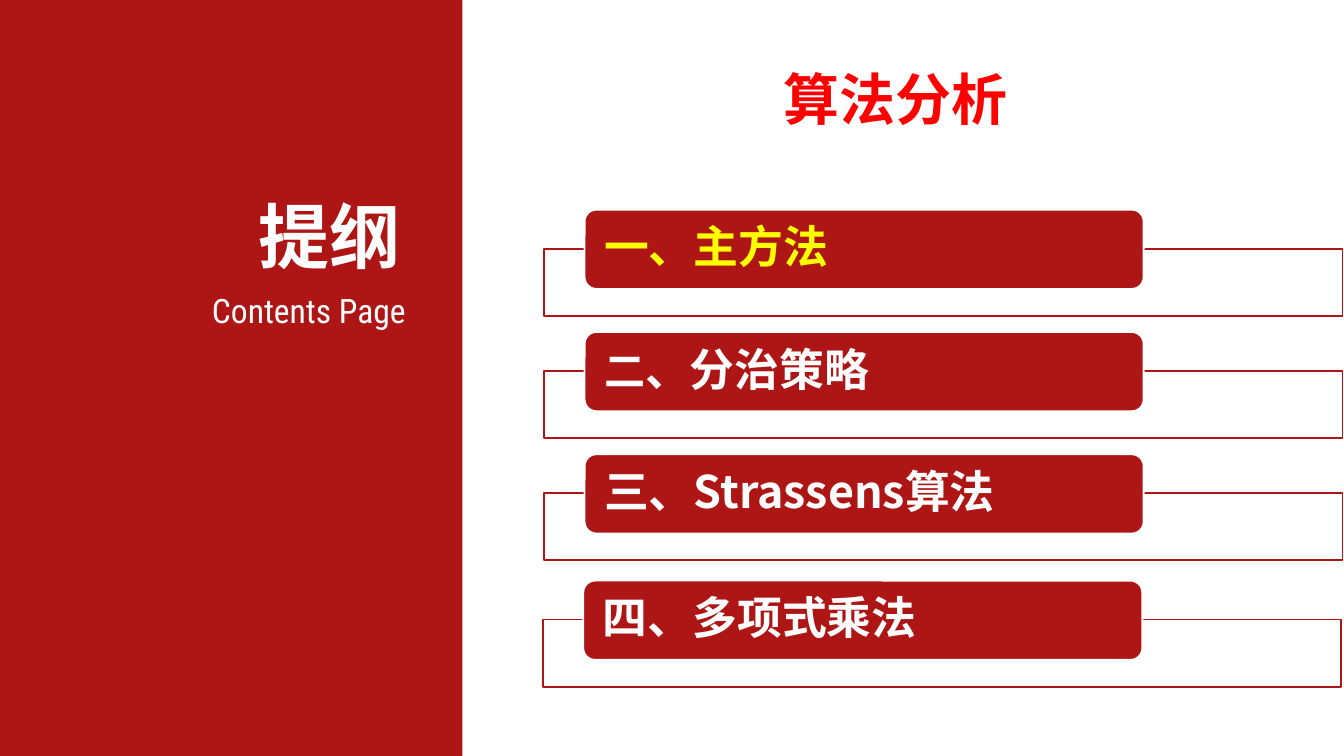
import pptx
import pptx.util
import pptx.dml.color
import pptx.enum.shapes
import pptx.enum.text
import pptx.oxml.ns
import lxml.etree

Inches, Pt = pptx.util.Inches, pptx.util.Pt
KIND = pptx.enum.shapes.MSO_SHAPE
ALIGN = pptx.enum.text.PP_ALIGN
MIDDLE = pptx.enum.text.MSO_ANCHOR.MIDDLE
RED, WHITE, YELLOW = "AE1616", "FFFFFF", "FFFF00"
CJK = "Noto Sans CJK SC"
WIDE, HIGH = 10, 10 * 9 / 16


def paint(color, code):
    color.rgb = pptx.dml.color.RGBColor.from_string(code)


def block(kind, x, y, w, h, fill, line=None):
    shape = slide.shapes.add_shape(kind, Inches(x), Inches(y), Inches(w), Inches(h))
    shape.shadow.inherit = False
    shape.fill.solid()
    paint(shape.fill.fore_color, fill)
    if line:
        paint(shape.line.color, line)
        shape.line.width = Pt(1)
    else:
        shape.line.fill.background()
    return shape


deck = pptx.Presentation()
deck.slide_width, deck.slide_height = Inches(WIDE), Inches(HIGH)
slide = deck.slides.add_slide(deck.slide_layouts[5])

# Left panel with its two labels
block(KIND.RECTANGLE, 0, 0, 3.44, HIGH, RED)
labels = [
    ("Contents Page", 0.34, 2.12, 2.75, 0.38, 18, "Roboto Condensed", False),
    ("提纲", 1.1, 1.39, 1.95, 0.72, 38, "Arial", True),
]
for text, x, y, w, h, size, font, bold in labels:
    box = slide.shapes.add_textbox(Inches(x), Inches(y), Inches(w), Inches(h))
    frame = box.text_frame
    frame.word_wrap = True
    frame.margin_left = frame.margin_right = Inches(0.07)
    frame.margin_top = frame.margin_bottom = Inches(0.04)
    para = frame.paragraphs[0]
    para.text = text
    para.alignment = ALIGN.RIGHT
    para.font.size, para.font.name, para.font.bold = Pt(size), font, bold
    paint(para.font.color, WHITE)

# Title
title = slide.shapes.title
title.left, title.top = Inches(3.44), Inches(0)
title.width, title.height = Inches(6.45), Inches(1.21)
frame = title.text_frame
frame.auto_size = pptx.enum.text.MSO_AUTO_SIZE.NONE
frame.vertical_anchor = MIDDLE
para = frame.paragraphs[0]
para.text = "算法分析"
para.alignment = ALIGN.CENTER
para.line_spacing = 1.5
para.font.size, para.font.name, para.font.bold = Pt(30), "Arial", True
paint(para.font.color, "FF0000")

# Contents: an outlined strip behind a rounded tab; runs are (text, size, font)
items = [
    (4.05, 1.56, YELLOW, [("一、主方法", 24, "Karla")]),
    (4.05, 2.47, WHITE, [("二", 22, CJK), ("、分治策略", 24, CJK)]),
    (4.05, 3.38, WHITE, [("三、Strassens算法", 24, CJK)]),
    (4.04, 4.32, WHITE, [("四、", 24, CJK), ("多项式乘法", 24, "Karla")]),
]
for x, y, color, runs in items:
    strip = block(KIND.RECTANGLE, x, y + 0.29, 5.94, 0.5, WHITE, RED)
    tint = strip.fill._xPr.find(".//" + pptx.oxml.ns.qn("a:srgbClr"))
    lxml.etree.SubElement(tint, pptx.oxml.ns.qn("a:alpha")).set("val", "90000")

    tab = block(KIND.ROUNDED_RECTANGLE, x + 0.3, y, 4.16, 0.59, RED, WHITE)
    tab.adjustments[0] = 0.15
    frame = tab.text_frame
    frame.vertical_anchor = MIDDLE
    frame.margin_left = frame.margin_right = Inches(0.12)
    frame.margin_top = frame.margin_bottom = Inches(0.02)
    para = frame.paragraphs[0]
    para.alignment = ALIGN.LEFT
    para.line_spacing = 0.9
    para.space_after = Pt(8.4)
    para.font.bold = True
    paint(para.font.color, color)
    for text, size, font in runs:
        run = para.add_run()
        run.text = text
        run.font.size, run.font.name = Pt(size), font

deck.save("out.pptx")
